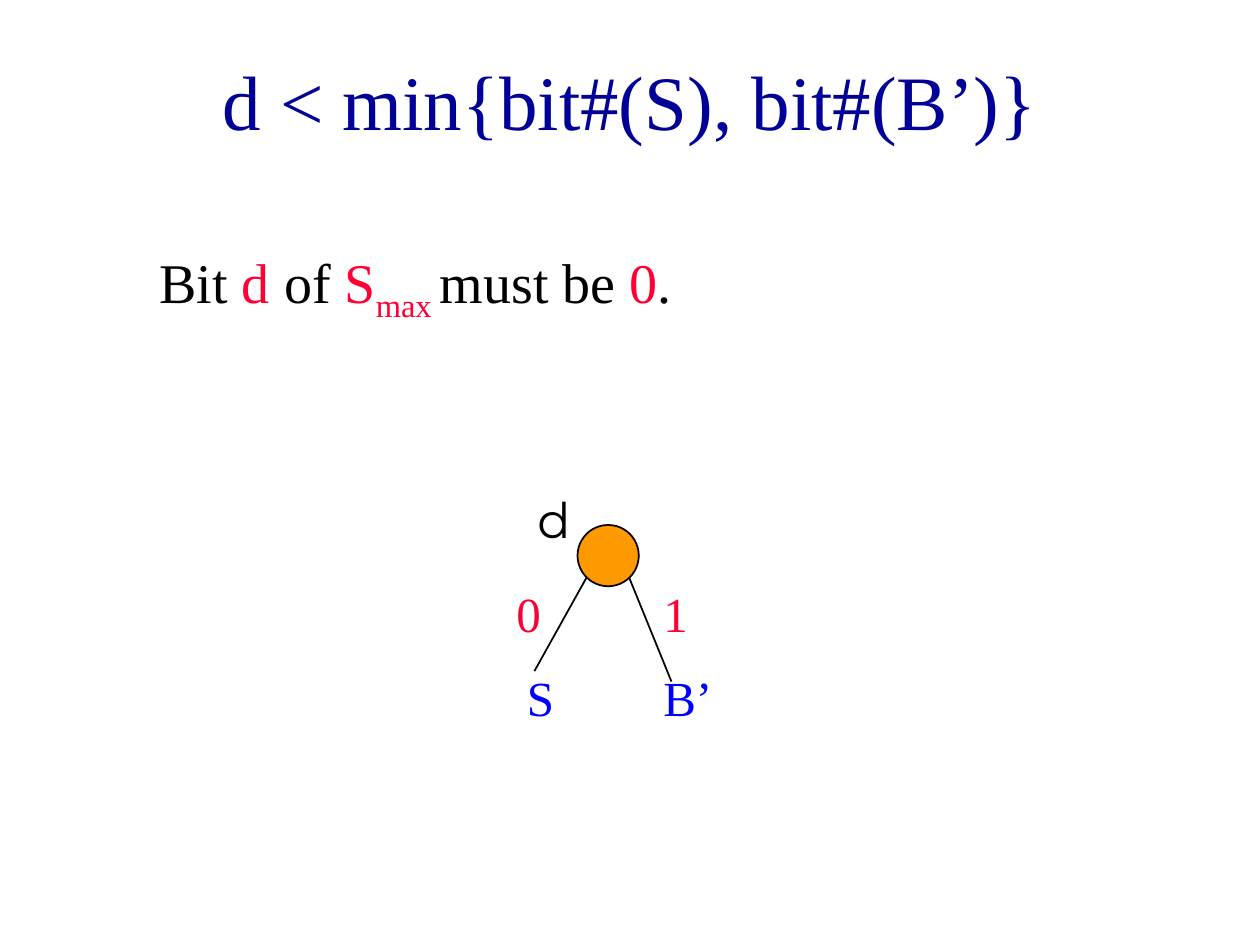
import pptx
import pptx.dml.color
import pptx.enum.shapes
import pptx.enum.text
import pptx.oxml
import pptx.util

Pt = pptx.util.Pt
ALIGN = pptx.enum.text.PP_ALIGN
ANCHOR = pptx.enum.text.MSO_ANCHOR
SHAPE = pptx.enum.shapes.MSO_SHAPE
EFFECTS = '<a:effectLst xmlns:a="http://schemas.openxmlformats.org/drawingml/2006/main"/>'

BLACK, RED, BLUE = "000000", "FF0033", "0000FF"
NAVY, ORANGE, WHITE = "000099", "FF9900", "FFFFFF"


def color(value):
    return pptx.dml.color.RGBColor.from_string(value)


class Painter:
    """Draws styled elements on the current page."""

    font = "Times New Roman"
    line_width = 1

    def __init__(self, page):
        self.page = page

    def text(self, left, top, width, height, spans, size, font=None,
             align=ALIGN.LEFT, anchor=ANCHOR.TOP, fill=None):
        box = self.page.shapes.add_textbox(Pt(left), Pt(top), Pt(width), Pt(height))
        if fill:
            box.fill.solid()
            box.fill.fore_color.rgb = color(fill)
        frame = box.text_frame
        frame.word_wrap = True
        frame.vertical_anchor = anchor
        para = frame.paragraphs[0]
        para.alignment = align
        for words, shade, *baseline in spans:
            span = para.add_run()
            span.text = words
            span.font.name = font or self.font
            span.font.size = Pt(size)
            span.font.color.rgb = color(shade)
            if baseline:
                span._r.get_or_add_rPr().set("baseline", str(baseline[0] * 1000))

    def node(self, left, top, diameter, fill):
        circle = self.page.shapes.add_shape(
            SHAPE.OVAL, Pt(left), Pt(top), Pt(diameter), Pt(diameter))
        circle.shadow.inherit = False
        circle.fill.solid()
        circle.fill.fore_color.rgb = color(fill)
        circle.line.color.rgb = color(BLACK)
        circle.line.width = Pt(self.line_width)

    def branch(self, start, end):
        line = self.page.shapes.add_connector(
            pptx.enum.shapes.MSO_CONNECTOR.STRAIGHT,
            *(Pt(value) for value in (*start, *end)))
        line.line.color.rgb = color(BLACK)
        line.line.width = Pt(self.line_width)
        line._element.spPr.append(pptx.oxml.parse_xml(EFFECTS))


def main():
    deck = pptx.Presentation()
    deck.slide_width, deck.slide_height = Pt(720), Pt(540)
    painter = Painter(deck.slides.add_slide(deck.slide_layouts[6]))

    painter.text(54, 12, 612, 90, [("d < min{bit#(S), bit#(B’)}", NAVY)], 44,
                 align=ALIGN.CENTER, anchor=ANCHOR.MIDDLE)

    painter.node(330, 300, 35, ORANGE)
    painter.branch((335.2, 330), (305.4, 383.5))
    painter.branch((359.5, 330), (383.7, 389.5))

    labels = [
        ("0", 288, 330, 36, RED, None),
        ("1", 372, 330, 36, RED, None),
        ("d", 300, 276, 48, BLACK, "Montserrat"),
        ("S", 294, 378, 48, BLUE, None),
        ("B’", 372, 378, 48, BLUE, None),
    ]
    for words, left, top, width, shade, font in labels:
        painter.text(left, top, width, 41, [(words, shade)], 28, font)

    statement = [("Bit ", BLACK), ("d", RED), (" of ", BLACK), ("S", RED),
                 ("max ", RED, -25), ("must be", BLACK), (" 0", RED), (".", BLACK)]
    painter.text(84, 138, 378, 51, statement, 32, fill=WHITE)

    deck.save("out.pptx")


if __name__ == "__main__":
    main()
